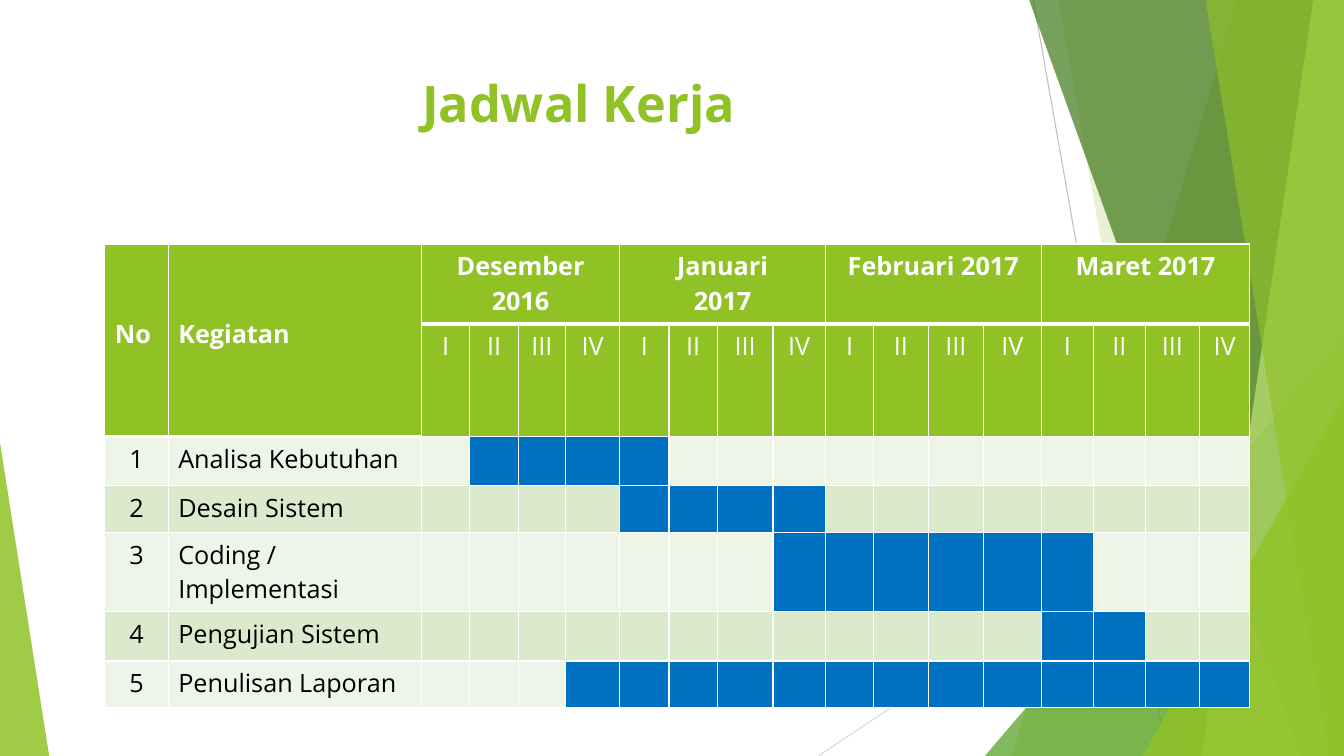
from pptx import Presentation
from pptx.dml.color import RGBColor
from pptx.enum.shapes import MSO_CONNECTOR as Connector, MSO_SHAPE as Preset
from pptx.enum.text import MSO_ANCHOR as Anchor, PP_ALIGN as Align
from pptx.oxml.ns import qn
from pptx.util import Cm, Pt
from lxml.etree import SubElement

GREEN = RGBColor(0x90, 0xC2, 0x26)
MID_GREEN = RGBColor(0x54, 0xA0, 0x21)
DARK_GREEN = RGBColor(0x3F, 0x78, 0x19)
LIGHT_GREEN = RGBColor(0xC0, 0xE4, 0x74)
BANDS = (RGBColor(0xEE, 0xF4, 0xE8), RGBColor(0xDB, 0xE9, 0xCD))
BLUE = RGBColor(0x00, 0x70, 0xC0)
WHITE = RGBColor(0xFF, 0xFF, 0xFF)
BLACK = RGBColor(0x00, 0x00, 0x00)
GREY = RGBColor(0xBF, 0xBF, 0xBF)
LIGHT_GREY = RGBColor(0xD9, 0xD9, 0xD9)

WIDTH, HEIGHT = 33.87, 19.05
MONTHS = ("Desember 2016", "Januari\n2017", "Februari 2017", "Maret 2017")
WEEKS = ("I", "II", "III", "IV")
# Activity, first and last week of its bar, counted from 0
TASKS = (
    ("Analisa Kebutuhan", 1, 4),
    ("Desain Sistem", 4, 7),
    ("Coding / Implementasi", 7, 12),
    ("Pengujian Sistem", 12, 13),
    ("Penulisan Laporan", 3, 15),
)
COLUMN_WIDTHS = (1.6, 6.38, 1.22, 1.22, 1.19, 1.37, 1.24, 1.22, 1.4, 1.32,
                 1.22, 1.37, 1.4, 1.45, 1.32, 1.3, 1.37, 1.27)
ROW_HEIGHTS = (2.01, 2.84, 1.24, 1.17, 2.01, 1.24, 1.17)


class SlideBuilder:
    """Holds the text style and the current slide; lengths are in cm."""

    def __init__(self, slide, font="Open Sans", size=18):
        """Keep the slide and its default font."""
        self.slide, self.font, self.size = slide, font, size

    def fill_text(self, text_frame, text, color, size=None, bold=False, align=Align.LEFT):
        """Set the text of a frame and format its runs."""
        text_frame.text = text
        for paragraph in text_frame.paragraphs:
            paragraph.alignment = align
            for run in paragraph.runs:
                run.font.name = self.font
                run.font.size = Pt(size or self.size)
                run.font.bold = bold
                run.font.color.rgb = color

    def text(self, left, top, width, height, text, **style):
        """Add a wrapped text box."""
        box = self.slide.shapes.add_textbox(Cm(left), Cm(top), Cm(width), Cm(height))
        box.text_frame.word_wrap = True
        box.text_frame.vertical_anchor = Anchor.TOP
        self.fill_text(box.text_frame, text, **style)

    def line(self, start, end, color):
        """Add a thin line without a shadow."""
        points = [Cm(value) for value in (*start, *end)]
        connector = self.slide.shapes.add_connector(Connector.STRAIGHT, *points)
        connector.line.color.rgb = color
        connector.line.width = Pt(0.75)
        SubElement(connector._element.spPr, qn("a:effectLst"))

    def paint(self, shape, color, opacity):
        """Give a shape a translucent fill, no outline and no shadow."""
        shape.shadow.inherit = False
        shape.fill.solid()
        shape.fill.fore_color.rgb = color
        shape.line.fill.background()
        for node in shape._element.spPr.iter(qn("a:srgbClr")):
            SubElement(node, qn("a:alpha"), val=str(opacity * 1000))

    def edge_panel(self, top_left, bottom_left, color, opacity):
        """Add a full-height panel with a slanted left side."""
        outline = self.slide.shapes.build_freeform(Cm(top_left), Cm(-0.02))
        corners = ((WIDTH, -0.02), (WIDTH, HEIGHT), (bottom_left, HEIGHT))
        outline.add_line_segments([(Cm(x), Cm(y)) for x, y in corners])
        self.paint(outline.convert_to_shape(), color, opacity)

    def triangle(self, left, top, width, peak, color, opacity):
        """Add a triangle standing on the bottom edge, its peak at 0 to 1."""
        shape = self.slide.shapes.add_shape(
            Preset.ISOSCELES_TRIANGLE, Cm(left), Cm(top), Cm(width), Cm(HEIGHT - top))
        shape.adjustments[0] = peak
        self.paint(shape, color, opacity)

    def table(self, left, top, widths, heights):
        """Add an unstyled table with the given columns and rows."""
        table = self.slide.shapes.add_table(
            len(heights), len(widths), Cm(left), Cm(top),
            Cm(sum(widths)), Cm(sum(heights))).table
        table.first_row = table.horz_banding = False
        for column, width in zip(table.columns, widths):
            column.width = Cm(width)
        for row, height in zip(table.rows, heights):
            row.height = Cm(height)
        return table

    def cell(self, cell, fill, bottom=1):
        """Give a cell white borders and a fill."""
        properties = cell._tc.get_or_add_tcPr()
        for side, width in (("L", 1), ("R", 1), ("T", 1), ("B", bottom)):
            border = SubElement(properties, qn(f"a:ln{side}"), w=str(Pt(width)))
            solid = SubElement(border, qn("a:solidFill"))
            SubElement(solid, qn("a:srgbClr"), val=str(WHITE))
        cell.fill.solid()
        cell.fill.fore_color.rgb = fill


def add_backdrop(builder):
    """Draw the green facets at the slide's edges."""
    builder.line((26.04, 0), (29.41, HEIGHT), GREY)
    builder.line((WIDTH, 10.24), (20.62, HEIGHT), LIGHT_GREY)
    builder.edge_panel(31.19, 25.5, GREEN, 30)
    builder.edge_panel(26.67, 30.05, GREEN, 20)
    builder.triangle(24.82, 8.46, 9.05, 1, MID_GREEN, 72)
    builder.edge_panel(25.93, 32.79, DARK_GREEN, 70)
    builder.edge_panel(33.1, 30.28, LIGHT_GREEN, 70)
    builder.edge_panel(30.38, 33.48, GREEN, 65)
    builder.triangle(28.8, 9.98, 5.07, 1, GREEN, 80)
    builder.triangle(0, 11.15, 1.24, 0, GREEN, 85)


def add_schedule(builder):
    """Build the work schedule with its month header and week bars."""
    table = builder.table(2.64, 6.15, COLUMN_WIDTHS, ROW_HEIGHTS)
    for row in range(2):
        for column in range(len(COLUMN_WIDTHS)):
            thick = row == 0 or column < 2
            builder.cell(table.cell(row, column), GREEN, 3 if thick else 1)

    for column, label in enumerate(("No", "Kegiatan")):
        cell = table.cell(0, column)
        cell.merge(table.cell(1, column))
        cell.margin_top = Cm(1.83)
        builder.fill_text(cell.text_frame, label, WHITE, bold=True)

    for index, month in enumerate(MONTHS):
        first = 2 + index * len(WEEKS)
        cell = table.cell(0, first)
        cell.merge(table.cell(0, first + len(WEEKS) - 1))
        builder.fill_text(cell.text_frame, month, WHITE, bold=True, align=Align.CENTER)
        for offset, week in enumerate(WEEKS):
            builder.fill_text(table.cell(1, first + offset).text_frame, week, WHITE,
                              align=Align.CENTER)

    for index, (activity, start, end) in enumerate(TASKS):
        row = index + 2
        for column in range(len(COLUMN_WIDTHS)):
            busy = start <= column - 2 <= end
            builder.cell(table.cell(row, column), BLUE if busy else BANDS[index % 2])
        builder.fill_text(table.cell(row, 0).text_frame, str(index + 1), BLACK,
                          align=Align.CENTER)
        builder.fill_text(table.cell(row, 1).text_frame, activity, BLACK)


def main():
    """Create the presentation and save it."""
    presentation = Presentation()
    presentation.slide_width, presentation.slide_height = Cm(WIDTH), Cm(HEIGHT)
    builder = SlideBuilder(presentation.slides.add_slide(presentation.slide_layouts[6]))
    add_backdrop(builder)
    add_schedule(builder)
    builder.text(2.64, 1.7, 23.88, 3.66, "Jadwal Kerja", color=GREEN, size=36,
                 bold=True, align=Align.CENTER)
    presentation.save("out.pptx")


main()
